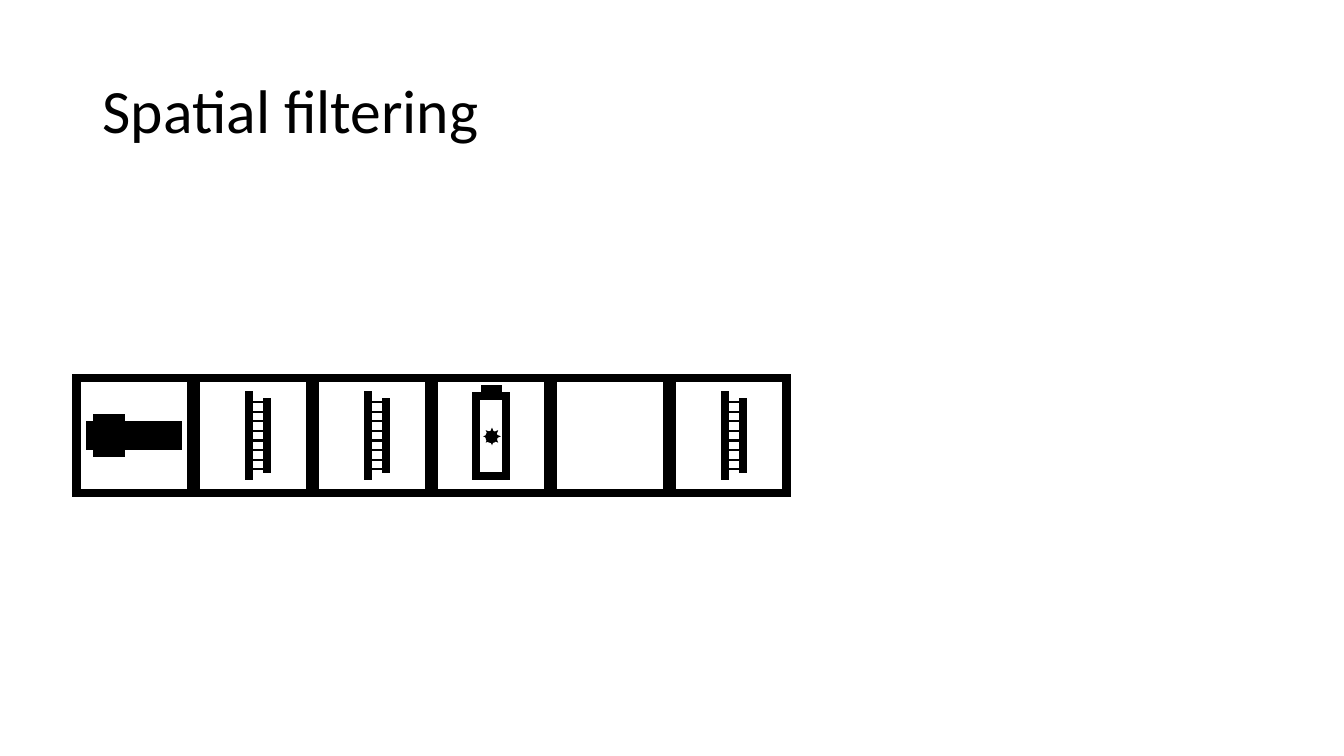
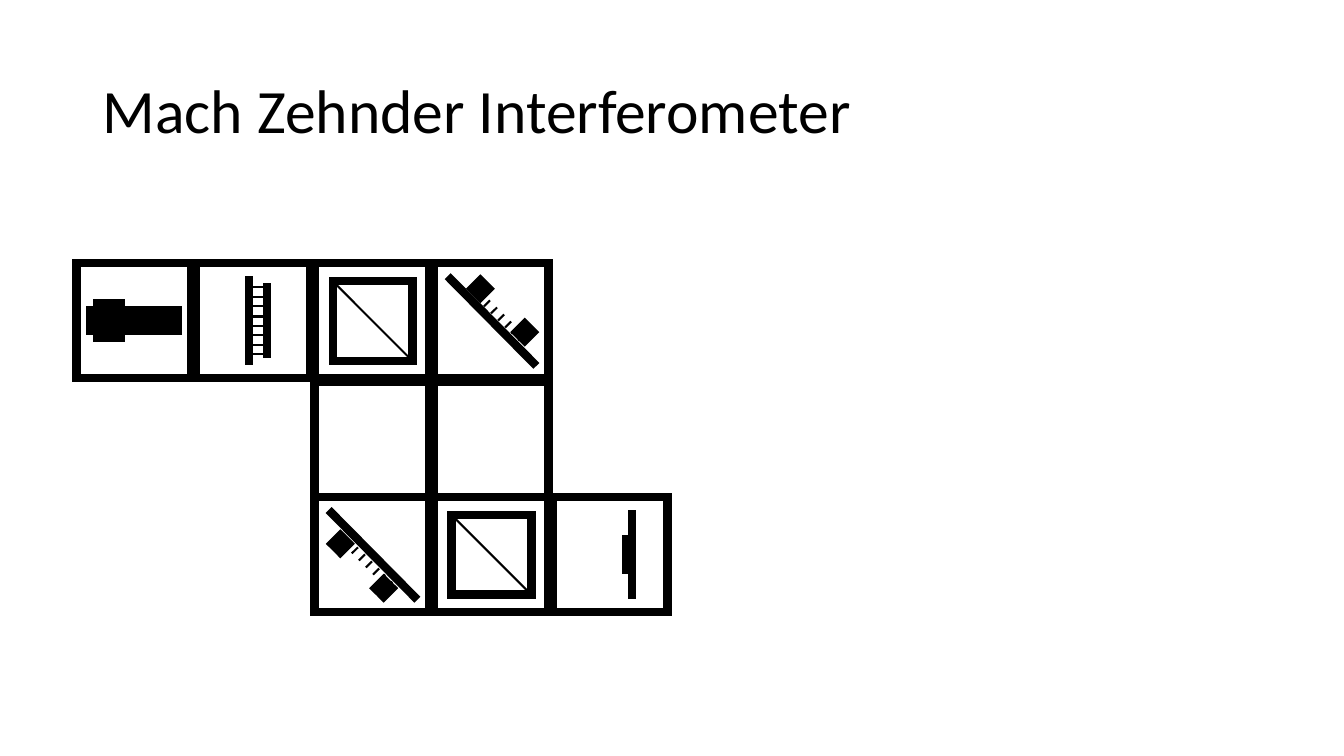
from lxml.etree import SubElement
from pptx import Presentation
from pptx.dml.color import RGBColor
from pptx.enum.shapes import MSO_CONNECTOR as LINK, MSO_SHAPE as FORM
from pptx.enum.text import MSO_ANCHOR as ANCHOR
from pptx.oxml.ns import qn
from pptx.util import Emu, Pt

SCALE = 9144
BLACK = "000000"


def px(size):
    return Emu(size * SCALE)


def ink(code):
    return RGBColor.from_string(code)


class Deck:
    """Draws optical cells, placed on a grid, on the current slide."""

    font, color = "Calibri", BLACK
    left, pitch, side = 76, 118, 114
    thick, thin, hair = 6, 1.5, 1

    def __init__(self):
        self.show = Presentation()
        self.show.slide_width, self.show.slide_height = px(1333), px(750)

    def slide(self, text):
        self.page = self.show.slides.add_slide(self.show.slide_layouts[6])
        frame = self.page.shapes.add_textbox(px(92), px(40), px(1150), px(145)).text_frame
        frame.word_wrap = True
        frame.vertical_anchor = ANCHOR.MIDDLE
        para = frame.paragraphs[0]
        para.line_spacing = 0.9
        run = para.add_run()
        run.text = text
        run.font.name, run.font.size = self.font, Pt(44)
        run.font.color.rgb = ink(self.color)

    def cell(self, col, top, draw=None):
        self.x, self.y = self.left + col * self.pitch, top
        self.pen = self.page.shapes
        if draw:
            self.pen = self.pen.add_group_shape().shapes
        self.shape(0, 0, self.side, self.side)
        if draw:
            draw()

    def shape(self, x, y, wide, high, form=FORM.RECTANGLE, solid=False, turn=0):
        item = self.pen.add_shape(form, px(self.x + x), px(self.y + y), px(wide), px(high))
        item.shadow.inherit = False
        item.rotation = turn
        if solid:
            item.fill.solid()
            item.fill.fore_color.rgb = ink(self.color)
        else:
            item.fill.background()
        item.line.color.rgb = ink(self.color)
        item.line.width = Pt(self.hair if solid else self.thick)
        SubElement(item.element.spPr.find(qn("a:ln")), qn("a:miter"), lim="800000")
        return item

    def line(self, start, end, width):
        (x1, y1), (x2, y2) = start, end
        item = self.pen.add_connector(LINK.STRAIGHT, px(self.x + x1), px(self.y + y1),
                                      px(self.x + x2), px(self.y + y2))
        item.line.color.rgb = ink(self.color)
        item.line.width = Pt(width)
        SubElement(item.element.spPr, qn("a:effectLst"))

    def laser(self):
        self.shape(17, 36, 30, 42, solid=True)
        self.shape(10, 43, 94, 28, solid=True)

    def lens(self):
        self.line((53, 101), (53, 13), self.thick)
        for step in range(8):
            y = round(24.4 + 9.4 * step)
            self.line((54, y), (71, y), self.thin)
        self.line((71, 94), (71, 20), self.thick)

    def lamp(self):
        self.shape(42, 18, 30, 79)
        self.shape(52, 53, 11, 11, FORM.OVAL, True)
        self.shape(51, 51, 14, 14, FORM.SUN, True).adjustments[0] = 0.23
        self.shape(48, 8, 19, 12, solid=True)

    def split(self):
        self.shape(18, 18, 79, 79)
        self.line((21, 21), (94, 94), self.thin)

    def mirror(self, flip=False):
        def spot(x, y):
            return (y, x) if flip else (x, y)

        self.line((14, 13), (102, 102), self.thick)
        for step in range(8):
            gap = round(6.7 * step)
            self.line(spot(37 + gap, 30 + gap), spot(43 + gap, 24 + gap), self.thin)
        for x, y in ((37, 16), (81, 59)):
            self.shape(*spot(x, y), 19, 19, solid=True, turn=45)

    def back(self):
        self.mirror(flip=True)

    def screen(self):
        self.line((79, 13), (79, 101), self.thick)
        self.line((73, 38), (73, 76), self.thick)


def main():
    deck = Deck()
    laser, lens, lamp, split = deck.laser, deck.lens, deck.lamp, deck.split
    plans = [
        ("Spatial filtering", [
            (375, 0, [laser, lens, lens, lamp, None, lens]),
        ]),
        ("Mach Zehnder Interferometer", [
            (261, 0, [laser, lens, split, deck.mirror]),
            (379, 2, [None, None]),
            (493, 2, [deck.back, split, deck.screen]),
        ]),
    ]
    for title, rows in plans:
        deck.slide(title)
        for top, first, parts in rows:
            for col, part in enumerate(parts, first):
                deck.cell(col, top, part)
    deck.show.save("out.pptx")


if __name__ == "__main__":
    main()
